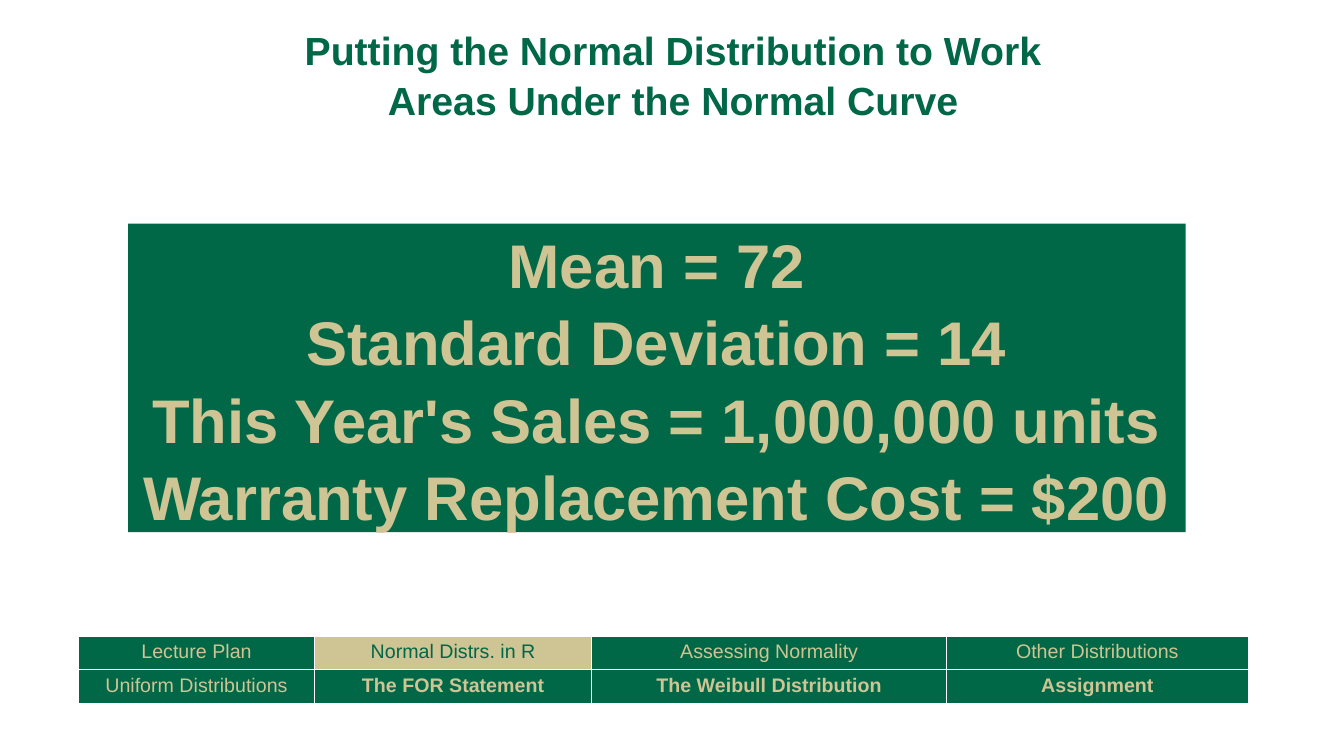
from dataclasses import dataclass

from lxml.etree import SubElement
from pptx import Presentation
from pptx.dml.color import RGBColor
from pptx.enum.shapes import MSO_SHAPE
from pptx.enum.text import MSO_ANCHOR, PP_ALIGN
from pptx.oxml.ns import qn
from pptx.util import Inches, Pt


@dataclass(frozen=True)
class Theme:
    font: str = "Arial"
    green: RGBColor = RGBColor(0x00, 0x67, 0x47)
    gold: RGBColor = RGBColor(0xCF, 0xC4, 0x93)
    border: str = "FFFFFF"
    title_size: int = 28
    facts_size: int = 44
    menu_size: int = 14
    line_spacing: float = 1.05


THEME = Theme()

TITLE = ["Putting the Normal Distribution to Work", "Areas Under the Normal Curve"]
FACTS = [
    "Mean = 72",
    "Standard Deviation = 14",
    "This Year's Sales = 1,000,000 units",
    "Warranty Replacement Cost = $200",
]
MENU = [
    ["Lecture Plan", "Normal Distrs. in R", "Assessing Normality", "Other Distributions"],
    ["Uniform Distributions", "The FOR Statement", "The Weibull Distribution", "Assignment"],
]
MENU_WIDTHS = [2.34, 2.75, 3.52, 2.99]
MENU_ROW_HEIGHT = 0.335
CURRENT_TOPIC = "Normal Distrs. in R"
BOLD_TOPICS = {"The FOR Statement", "The Weibull Distribution", "Assignment"}


def add_run(paragraph, text, size, color, bold):
    paragraph.alignment = PP_ALIGN.CENTER
    run = paragraph.add_run()
    run.text = text
    run.font.name = THEME.font
    run.font.size = Pt(size)
    run.font.bold = bold
    run.font.color.rgb = color


def add_title(slide, lines):
    title = slide.shapes.add_textbox(Inches(0.84), Inches(0.19), Inches(11.67), Inches(0.85))
    title.text_frame.word_wrap = True
    paragraph = title.text_frame.paragraphs[0]
    paragraph.line_spacing = THEME.line_spacing
    for index, line in enumerate(lines):
        if index:
            paragraph.add_line_break()
        add_run(paragraph, line, THEME.title_size, THEME.green, True)


def add_facts_panel(slide, facts):
    panel = slide.shapes.add_shape(
        MSO_SHAPE.RECTANGLE, Inches(1.27), Inches(2.22), Inches(10.49), Inches(3.06))
    panel.shadow.inherit = False
    panel.fill.solid()
    panel.fill.fore_color.rgb = THEME.green
    panel.line.fill.background()
    frame = panel.text_frame
    frame.word_wrap = False
    frame.vertical_anchor = MSO_ANCHOR.MIDDLE
    for index, fact in enumerate(facts):
        paragraph = frame.add_paragraph() if index else frame.paragraphs[0]
        paragraph.line_spacing = THEME.line_spacing
        add_run(paragraph, fact, THEME.facts_size, THEME.gold, True)


def set_borders(cell):
    """Draw a thin line on all four sides; borders must precede the fill."""
    properties = cell._tc.get_or_add_tcPr()
    for side in ("a:lnL", "a:lnR", "a:lnT", "a:lnB"):
        line = SubElement(properties, qn(side), w=str(Pt(1)))
        fill = SubElement(line, qn("a:solidFill"))
        SubElement(fill, qn("a:srgbClr"), val=THEME.border)


def add_menu(slide, rows):
    menu = slide.shapes.add_table(
        len(rows), len(MENU_WIDTHS), Inches(0.78), Inches(6.31),
        Inches(sum(MENU_WIDTHS)), Inches(MENU_ROW_HEIGHT * len(rows))).table
    menu.first_row = False
    menu.horz_banding = False
    for column, width in zip(menu.columns, MENU_WIDTHS):
        column.width = Inches(width)
    for row_index, topics in enumerate(rows):
        for column_index, topic in enumerate(topics):
            cell = menu.cell(row_index, column_index)
            current = topic == CURRENT_TOPIC
            set_borders(cell)
            cell.fill.solid()
            cell.fill.fore_color.rgb = THEME.gold if current else THEME.green
            add_run(cell.text_frame.paragraphs[0], topic, THEME.menu_size,
                    THEME.green if current else THEME.gold, topic in BOLD_TOPICS)


def main():
    presentation = Presentation()
    presentation.slide_width = Inches(13.33)
    presentation.slide_height = Inches(7.5)
    slide = presentation.slides.add_slide(presentation.slide_layouts[6])
    add_title(slide, TITLE)
    add_facts_panel(slide, FACTS)
    add_menu(slide, MENU)
    presentation.save("out.pptx")


if __name__ == "__main__":
    main()
